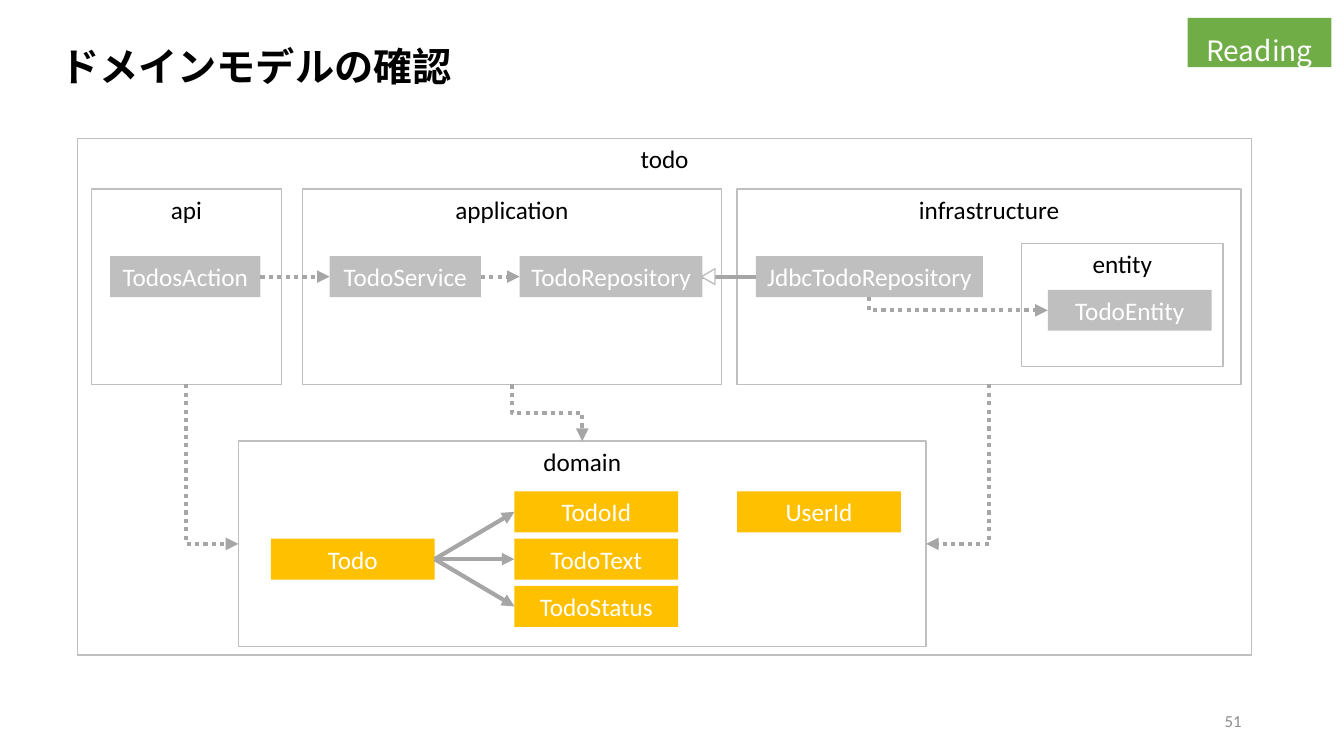
from lxml.etree import SubElement
from pptx import Presentation
from pptx.dml.color import RGBColor
from pptx.enum.dml import MSO_LINE
from pptx.enum.shapes import MSO_CONNECTOR as LINK, MSO_SHAPE as SHAPE
from pptx.enum.text import MSO_ANCHOR as ANCHOR, PP_ALIGN as ALIGN
from pptx.oxml.ns import qn
from pptx.util import Pt

PX = 9525
LATIN, JAPANESE = "Calibri", "Noto Sans CJK JP"
COLORS = {"black": "000000", "white": "FFFFFF", "border": "BFBFBF", "arrow": "A6A6A6",
          "class": "BFBFBF", "model": "FFC000", "reading": "70AD47", "number": "8C8C8C"}
CLASS_HEIGHT = 39
TOP, LEFT, BOTTOM, RIGHT = range(4)


def color(name):
    """Return the named colour."""
    return RGBColor.from_string(COLORS[name])


def emu(box):
    """Scale px lengths to EMU."""
    return [length * PX for length in box]


def write(shape, text, size, ink, font=LATIN, align=ALIGN.CENTER, anchor=ANCHOR.TOP, bold=False):
    """Set one formatted line of text in a shape."""
    frame = shape.text_frame
    frame.text = text
    frame.word_wrap = True
    frame.vertical_anchor = anchor
    line = frame.paragraphs[0]
    line.alignment = align
    run = line.runs[0]
    run.font.size, run.font.bold, run.font.name = Pt(size), bold, font
    run.font.color.rgb = color(ink)
    SubElement(run._r.get_or_add_rPr(), qn("a:ea")).set("typeface", font)


def block(slide, box, fill=None, border=None, kind=SHAPE.RECTANGLE):
    """Draw a plain preset shape."""
    shape = slide.shapes.add_shape(kind, *emu(box))
    shape.shadow.inherit = False
    if fill:
        shape.fill.solid()
        shape.fill.fore_color.rgb = color(fill)
    else:
        shape.fill.background()
    if border:
        shape.line.color.rgb = color(border)
        shape.line.width = Pt(1)
    else:
        shape.line.fill.background()
    return shape


def package(slide, box, name, classes=(), fill="class"):
    """Draw a titled package and its classes, given as name, x, y, width inside it."""
    frame = block(slide, box, border="border")
    write(frame, name, 18, "black")
    parts = {name: frame}
    for label, x, y, width in classes:
        part = block(slide, (box[0] + x, box[1] + y, width, CLASS_HEIGHT), fill)
        write(part, label, 18, "white", anchor=ANCHOR.MIDDLE)
        part.text_frame.margin_left = part.text_frame.margin_right = 0
        part.text_frame.word_wrap = False
        parts[label] = part
    return parts


def style_link(link, dotted, arrow):
    """Give a connector its line, dash and arrowhead."""
    link.line.color.rgb = color("arrow")
    link.line.width = Pt(3)
    if dotted:
        link.line.dash_style = MSO_LINE.ROUND_DOT
    if arrow:
        SubElement(link.line._get_or_add_ln(), qn("a:tailEnd")).set("type", "triangle")
    SubElement(link._element.spPr, qn("a:effectLst"))


def straight(slide, source, target, sides=(RIGHT, LEFT), dotted=False, arrow=True):
    """Join two shapes with a straight line."""
    link = slide.shapes.add_connector(LINK.STRAIGHT, 0, 0, 0, 0)
    link.begin_connect(source, sides[0])
    link.end_connect(target, sides[1])
    style_link(link, dotted, arrow)


def elbow(slide, source, target, side):
    """Run a dotted arrow from the bottom of one shape down to a side of another."""
    x, y = source.left + source.width // 2, source.top + source.height
    shift = {TOP: target.width // 2, LEFT: 0, RIGHT: target.width}[side]
    across = target.left + shift - x
    down = target.top + (0 if side == TOP else target.height // 2) - y
    left = x + (across - down) // 2
    top = y + (down - abs(across)) // 2
    ends = (left + down, left) if across > 0 else (left, left + down)
    link = slide.shapes.add_connector(LINK.ELBOW, ends[0], top, ends[1], top + abs(across))
    spPr = link._element.spPr
    spPr.find(qn("a:xfrm")).set("rot", str((270 if across > 0 else 90) * 60000))
    if side != TOP:
        spPr.find(qn("a:prstGeom")).set("prst", "bentConnector2")
    style_link(link, True, True)


def heading(slide, box):
    """Write the slide title."""
    title = slide.shapes.add_textbox(*emu(box))
    write(title, "ドメインモデルの確認", 28, "black", JAPANESE, ALIGN.LEFT, bold=True)


def reading_tag(slide, box):
    """Draw the green tag in the corner."""
    tag = block(slide, box, "reading")
    write(tag, "Reading", 20, "white", JAPANESE)
    tag.text_frame.paragraphs[0].line_spacing = Pt(32)


def page_number(slide, box):
    """Write the page number."""
    number = slide.shapes.add_textbox(*emu(box))
    write(number, "51", 12, "number", align=ALIGN.RIGHT, anchor=ANCHOR.MIDDLE)


def todo_diagram(slide, box):
    """Draw the todo packages and the dependencies between them."""
    x, y, width, height = box
    row, row_height = y + 48, 186
    parts = package(slide, box, "todo")
    parts |= package(slide, (x + 13, row, 181, row_height), "api",
                     [("TodosAction", 18, 64, 143)])
    parts |= package(slide, (x + 214, row, 399, row_height), "application",
                     [("TodoService", 26, 64, 144), ("TodoRepository", 207, 64, 174)])
    parts |= package(slide, (x + 628, row, 480, row_height), "infrastructure",
                     [("JdbcTodoRepository", 18, 64, 216)])
    parts |= package(slide, (x + 899, y + 100, 192, 117), "entity",
                     [("TodoEntity", 25, 44, 156)])
    fields = [(name, 263, 48 + 45 * i, 156)
              for i, name in enumerate(("TodoId", "TodoText", "TodoStatus"))]
    parts |= package(slide, (x + 153, y + 288, 655, 196), "domain",
                     [("Todo", 31, 93, 156), *fields, ("UserId", 475, 48, 156)], "model")

    straight(slide, parts["TodosAction"], parts["TodoService"], dotted=True)
    straight(slide, parts["TodoService"], parts["TodoRepository"], dotted=True)
    straight(slide, parts["JdbcTodoRepository"], parts["TodoRepository"], (LEFT, RIGHT), arrow=False)
    triangle = block(slide, (x + 593, y + 125, 15, 13), "white", "border", SHAPE.ISOSCELES_TRIANGLE)
    triangle.rotation = 270
    for name, *_ in fields:
        straight(slide, parts["Todo"], parts[name])
    for source, target, side in (("JdbcTodoRepository", "TodoEntity", LEFT), ("api", "domain", LEFT),
                                 ("application", "domain", TOP), ("infrastructure", "domain", RIGHT)):
        elbow(slide, parts[source], parts[target], side)


def main():
    """Build and save the slide."""
    deck = Presentation()
    deck.slide_width, deck.slide_height = emu((1280, 720))
    slide = deck.slides.add_slide(deck.slide_layouts[6])
    heading(slide, (48, 36, 882, 55))
    page_number(slide, (904, 667, 288, 38))
    todo_diagram(slide, (74, 132, 1118, 492))
    reading_tag(slide, (1131, 17, 137, 47))
    deck.save("out.pptx")


if __name__ == "__main__":
    main()
